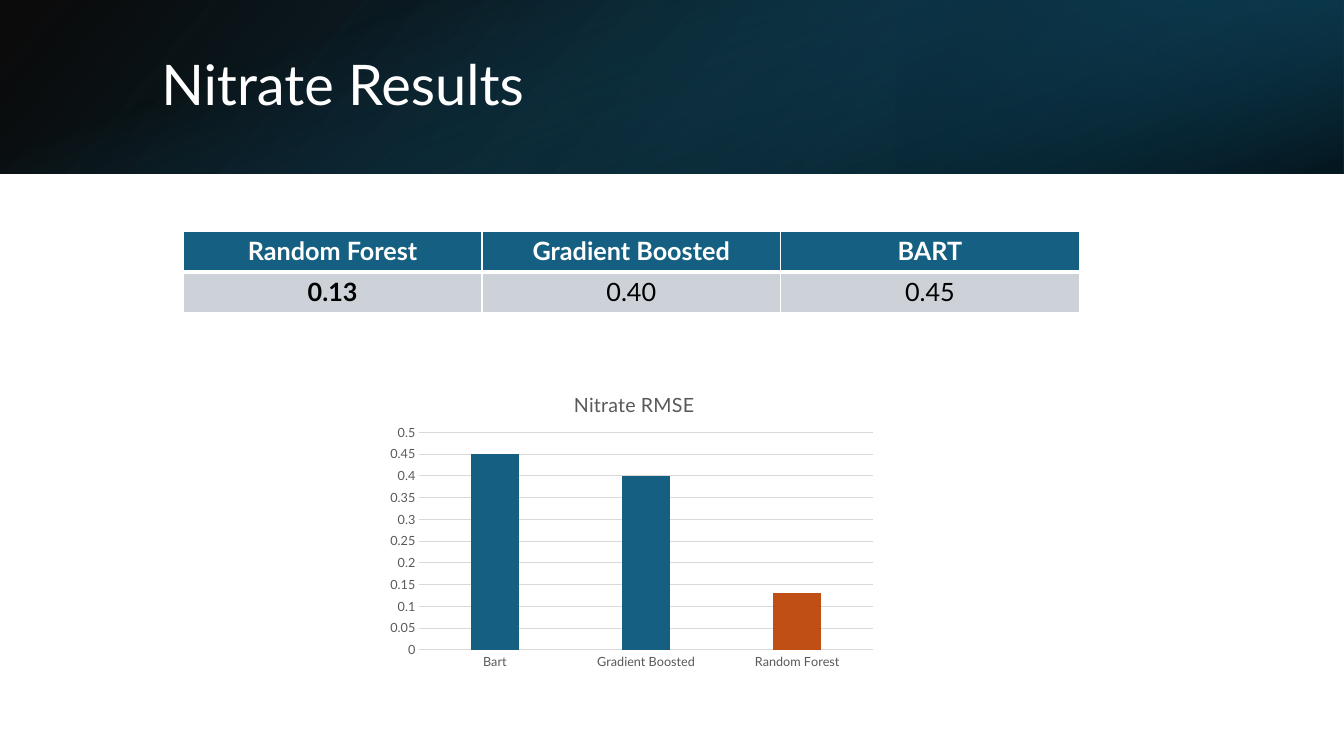
import pptx
import pptx.chart.data
import pptx.dml.color
import pptx.enum.chart
import pptx.enum.shapes
import pptx.enum.text
import pptx.oxml
import pptx.oxml.ns
import pptx.util

Cm = pptx.util.Cm
Pt = pptx.util.Pt
qn = pptx.oxml.ns.qn

FONT = "Lato"
COLORS = {
    "white": "FFFFFF",
    "black": "000000",
    "teal": "156082",
    "deep_teal": "104862",
    "night": "0B3041",
    "orange": "C04F15",
    "cell": "CCD2D8",
    "grid": "D9D9D9",
    "label": "595959",
}
SLIDE_WIDTH, SLIDE_HEIGHT, BAND_HEIGHT = 33.87, 19.05, 4.37
RESULTS = [("Random Forest", "0.13"), ("Gradient Boosted", "0.40"), ("BART", "0.45")]
RMSE = {"Bart": 0.45, "Gradient Boosted": 0.4, "Random Forest": 0.13}


def rgb(name):
    return pptx.dml.color.RGBColor.from_string(COLORS[name])


def parse_xml(tag, attributes, content=""):
    namespaces = pptx.oxml.ns.nsdecls(tag.split(":")[0])
    return pptx.oxml.parse_xml(f"<{tag} {namespaces} {attributes}>{content}</{tag}>")


def style_font(font, size, color, bold=False):
    font.name = FONT
    font.size = Pt(size)
    font.bold = bold
    font.color.rgb = rgb(color)


def add_span(para, text, size, color, bold=False):
    span = para.add_run()
    span.text = text
    style_font(span.font, size, color, bold)


def add_gradient_band(page, place, stops, angle, rotation=0, flipped=False):
    """Stops are (position, color, opacity), all in percent."""
    band = page.shapes.add_shape(
        pptx.enum.shapes.MSO_SHAPE.RECTANGLE, *[Cm(length) for length in place])
    band.shadow.inherit = False
    band.line.fill.background()
    band.rotation = rotation
    properties = band._element.spPr
    if flipped:
        properties.find(qn("a:xfrm")).set("flipH", "1")
    stop_xml = "".join(
        f'<a:gs pos="{position * 1000}"><a:srgbClr val="{COLORS[color]}">'
        f'<a:alpha val="{opacity * 1000}"/></a:srgbClr></a:gs>'
        for position, color, opacity in stops)
    gradient = parse_xml(
        "a:gradFill", 'rotWithShape="1"',
        f'<a:gsLst>{stop_xml}</a:gsLst><a:lin ang="{angle * 60000}" scaled="0"/>')
    properties.find(qn("a:prstGeom")).addnext(gradient)


def format_title(page, text):
    title = page.shapes.title
    title.left, title.top, title.width, title.height = Cm(3.81), Cm(0.97), Cm(27.89), Cm(2.44)
    title._element.getparent().append(title._element)  # in front of the bands
    title.text_frame.vertical_anchor = pptx.enum.text.MSO_ANCHOR.MIDDLE
    para = title.text_frame.paragraphs[0]
    para.alignment = pptx.enum.text.PP_ALIGN.LEFT
    para.line_spacing = 0.9
    add_span(para, text, 40, "white")


def set_cell_borders(cell, widths):
    """Widths are in points: left, right, top, bottom."""
    properties = cell._tc.get_or_add_tcPr()
    for index, (side, width) in enumerate(zip("LRTB", widths)):
        properties.insert(index, parse_xml(
            f"a:ln{side}", f'w="{Pt(width)}"',
            f'<a:solidFill><a:srgbClr val="{COLORS["white"]}"/></a:solidFill>'))


def fill_cell(cell, text, fill, color, bold, borders):
    cell.fill.solid()
    cell.fill.fore_color.rgb = rgb(fill)
    set_cell_borders(cell, borders)
    para = cell.text_frame.paragraphs[0]
    para.alignment = pptx.enum.text.PP_ALIGN.CENTER
    add_span(para, text, 18, color, bold)


def add_results_table(page, results):
    table = page.shapes.add_table(
        2, len(results), Cm(4.62), Cm(5.82), Cm(22.58), Cm(2.06)).table
    for column, (model, error) in enumerate(results):
        fill_cell(table.cell(0, column), model, "teal", "white", True, (1, 1, 1, 3))
        fill_cell(table.cell(1, column), error, "cell", "black", column == 0, (1, 1, 3, 1))


def set_layout(element, index, **fractions):
    """Place a chart part by fractions of the chart's size."""
    for old in element.findall(qn("c:layout")):
        element.remove(old)
    target = '<c:layoutTarget val="inner"/>' if "w" in fractions else ""
    modes = '<c:xMode val="edge"/><c:yMode val="edge"/>'
    values = "".join(f'<c:{key} val="{value}"/>' for key, value in fractions.items())
    element.insert(index, parse_xml(
        "c:layout", "", f"<c:manualLayout>{target}{modes}{values}</c:manualLayout>"))


def format_axis(axis):
    axis.major_tick_mark = pptx.enum.chart.XL_TICK_MARK.NONE
    axis.minor_tick_mark = pptx.enum.chart.XL_TICK_MARK.NONE
    style_font(axis.tick_labels.font, 9, "label")


def format_line(line):
    line.color.rgb = rgb("grid")
    line.width = Pt(0.75)


def add_rmse_chart(page, title, values, highlight):
    data = pptx.chart.data.CategoryChartData()
    data.categories = list(values)
    data.add_series("Series 1", list(values.values()))
    chart = page.shapes.add_chart(
        pptx.enum.chart.XL_CHART_TYPE.COLUMN_CLUSTERED,
        Cm(9.55), Cm(9.37), Cm(12.7), Cm(7.62), data).chart
    style_font(chart.font, 10, "black")
    chart.has_legend = False
    chart.has_title = True
    add_span(chart.chart_title.text_frame.paragraphs[0], title, 14, "label")
    set_layout(chart.chart_title._element, 1, x=0.38, y=0.05)
    set_layout(chart._chartSpace.chart.plotArea, 0, x=0.08, y=0.2, w=0.9, h=0.72)

    format_axis(chart.category_axis)
    format_line(chart.category_axis.format.line)
    value_axis = chart.value_axis
    format_axis(value_axis)
    value_axis.minimum_scale, value_axis.maximum_scale = 0, 0.5
    value_axis.major_unit = 0.05
    value_axis.format.line.fill.background()
    format_line(value_axis.major_gridlines.format.line)

    plot = chart.plots[0]
    plot.vary_by_categories = False
    plot.gap_width, plot.overlap = 219, -27
    series = plot.series[0]
    best = series.points[list(values).index(highlight)]
    for bar, color in ((series, "teal"), (best, "orange")):
        bar.format.fill.solid()
        bar.format.fill.fore_color.rgb = rgb(color)


def main():
    deck = pptx.Presentation()
    deck.slide_width, deck.slide_height = Cm(SLIDE_WIDTH), Cm(SLIDE_HEIGHT)
    page = deck.slides.add_slide(deck.slide_layouts[5])
    page.background.fill.solid()
    page.background.fill.fore_color.rgb = rgb("white")

    add_gradient_band(page, (0, 0, SLIDE_WIDTH, BAND_HEIGHT),
                      [(0, "black", 96), (100, "deep_teal", 100)], 140, flipped=True)
    add_gradient_band(page, (22.58, 0, SLIDE_WIDTH - 22.58, BAND_HEIGHT),
                      [(19, "night", 68), (100, "teal", 79)], 320, 180, flipped=True)
    offset = (SLIDE_WIDTH - BAND_HEIGHT) / 2
    add_gradient_band(page, (offset, -offset, BAND_HEIGHT, SLIDE_WIDTH),
                      [(23, "teal", 0), (99, "black", 74)], 340, 90)
    format_title(page, "Nitrate Results")
    add_results_table(page, RESULTS)
    add_rmse_chart(page, "Nitrate RMSE", RMSE, "Random Forest")
    deck.save("out.pptx")


if __name__ == "__main__":
    main()
